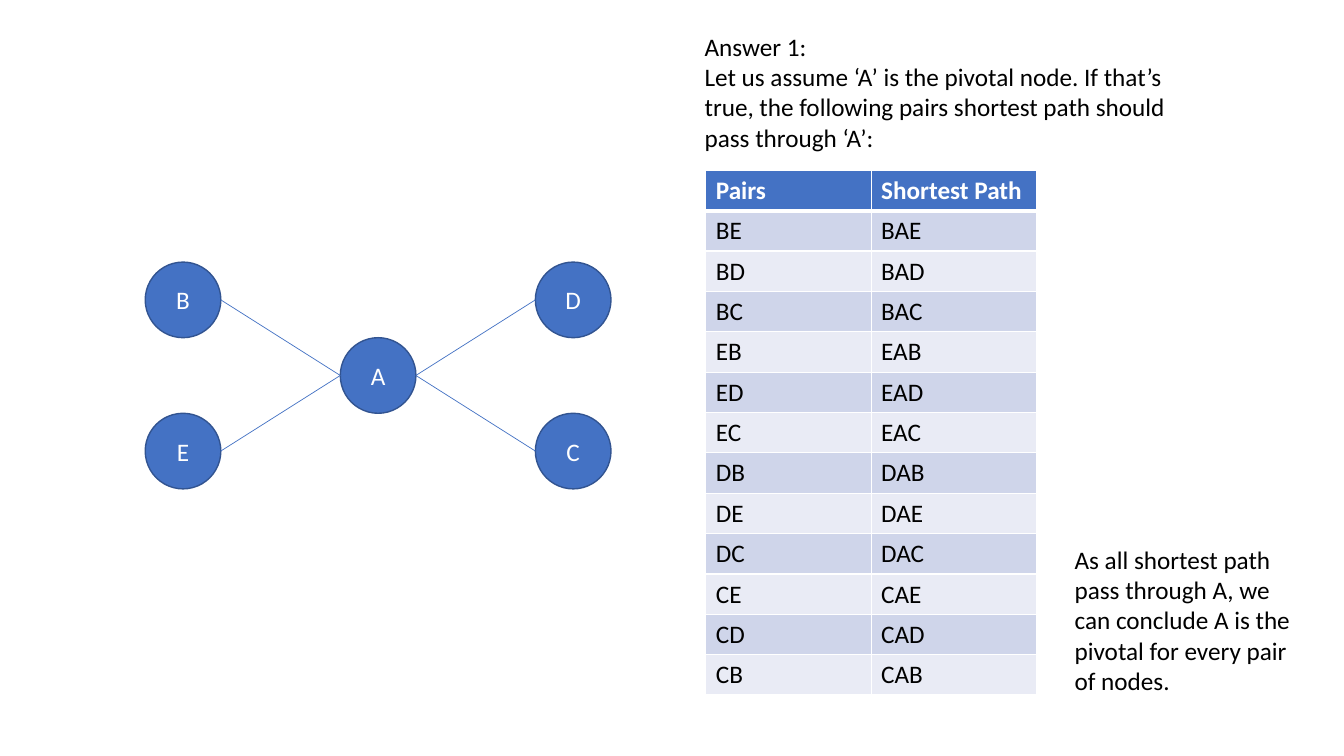
from lxml import etree
from pptx import Presentation
from pptx import util as u
from pptx.dml.color import RGBColor
from pptx.enum import shapes, text
from pptx.oxml import ns

BLUE = RGBColor(0x44, 0x72, 0xC4)
OUTLINE = RGBColor(0x32, 0x54, 0x91)
BAND_DARK = RGBColor(0xCF, 0xD5, 0xEA)
BAND_LIGHT = RGBColor(0xE9, 0xEB, 0xF5)
WHITE = RGBColor(0xFF, 0xFF, 0xFF)
BLACK = RGBColor(0, 0, 0)

PIVOT = "A"
NODES = {"B": (0, 0), "A": (1, 1), "E": (0, 2), "C": (2, 2), "D": (2, 0)}
PAIRS = "BE BD BC EB ED EC DB DE DC CE CD CB".split()
INTRO = [
    "Answer 1:",
    "Let us assume ‘A’ is the pivotal node. If that’s true, "
    "the following pairs shortest path should pass through ‘A’:",
]
CONCLUSION = [
    "As all shortest path pass through A, we can conclude A is the pivotal "
    "for every pair of nodes."
]


def write(frame, lines, color, bold=False, align=None):
    for index, line in enumerate(lines):
        para = frame.add_paragraph() if index else frame.paragraphs[0]
        para.alignment = align
        span = para.add_run()
        span.text = line
        span.font.color.rgb = color
        formats = {"name": "Calibri", "size": u.Pt(18), "bold": bold}
        for name, value in formats.items():
            setattr(span.font, name, value)


def add_text(page, box, lines):
    frame = page.shapes.add_textbox(*map(u.Inches, box)).text_frame
    frame.word_wrap = True
    frame.auto_size = text.MSO_AUTO_SIZE.SHAPE_TO_FIT_TEXT
    write(frame, lines, BLACK)


def add_graph(page, box, size=0.75):
    left, top, width, height = box
    step_x, step_y = (width - size) / 2, (height - size) / 2
    corners = {
        name: (left + col * step_x, top + row * step_y)
        for name, (col, row) in NODES.items()
    }
    for name, (x, y) in corners.items():
        node = page.shapes.add_shape(
            shapes.MSO_SHAPE.OVAL, *map(u.Inches, (x, y, size, size)))
        node.shadow.inherit = False
        node.fill.solid()
        node.fill.fore_color.rgb = BLUE
        node.line.color.rgb = OUTLINE
        node.line.width = u.Pt(1)
        node.text_frame.vertical_anchor = text.MSO_ANCHOR.MIDDLE
        write(node.text_frame, [name], WHITE, align=text.PP_ALIGN.CENTER)

    pivot_x, pivot_y = corners[PIVOT]
    for name, (x, y) in corners.items():
        if name == PIVOT:
            continue
        on_left = x < pivot_x
        start = (x + size * on_left, y + size / 2)
        end = (pivot_x + size * (not on_left), pivot_y + size / 2)
        edge = page.shapes.add_connector(
            shapes.MSO_CONNECTOR.STRAIGHT, *map(u.Inches, start + end))
        edge.line.color.rgb = BLUE
        edge.line.width = u.Pt(0.5)
        etree.SubElement(edge._element.spPr, ns.qn("a:effectLst"))


def add_borders(cell, bottom):
    properties = cell._tc.get_or_add_tcPr()
    for side, points in {"L": 1, "R": 1, "T": 1, "B": bottom}.items():
        line = etree.SubElement(
            properties, ns.qn(f"a:ln{side}"), w=str(u.Pt(points)))
        fill = etree.SubElement(line, ns.qn("a:solidFill"))
        etree.SubElement(fill, ns.qn("a:srgbClr"), val=str(WHITE))


def add_paths(page, box):
    rows = [("Pairs", "Shortest Path")]
    rows += [(pair, PIVOT.join(pair)) for pair in PAIRS]
    table = page.shapes.add_table(len(rows), 2, *map(u.Inches, box)).table
    for row, values in enumerate(rows):
        header = row == 0
        band = BLUE if header else (BAND_LIGHT, BAND_DARK)[row % 2]
        for col, value in enumerate(values):
            cell = table.cell(row, col)
            add_borders(cell, 3 if header else 1)
            cell.fill.solid()
            cell.fill.fore_color.rgb = band
            write(cell.text_frame, [value], WHITE if header else BLACK, header)


deck = Presentation()
deck.slide_width, deck.slide_height = u.Inches(13.33), u.Inches(7.5)
page = deck.slides.add_slide(deck.slide_layouts[6])
add_graph(page, (1.44, 2.6, 4.62, 2.25))
add_text(page, (6.89, 0.26, 5.16, 1.31), INTRO)
add_paths(page, (7, 1.69, 3.28, 5.2))
add_text(page, (10.56, 5.35, 2.46, 1.62), CONCLUSION)
deck.save("out.pptx")
